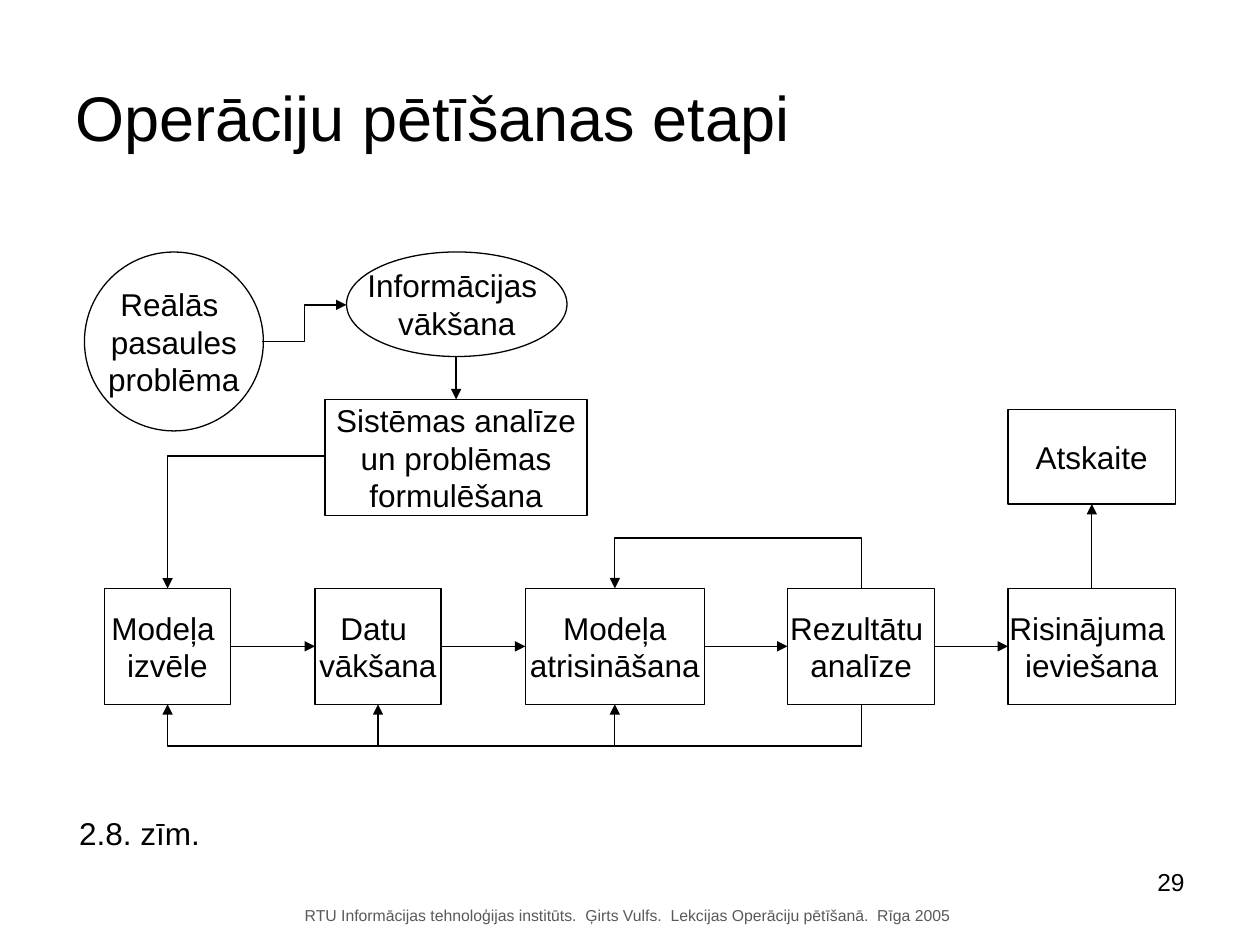
from pptx import Presentation
from pptx.dml.color import RGBColor
from pptx.enum.shapes import MSO_CONNECTOR, MSO_SHAPE
from pptx.enum.text import MSO_ANCHOR, PP_ALIGN
from pptx.oxml.ns import qn
from pptx.util import Inches, Pt
from lxml import etree

RECTANGLE, ELLIPSE = MSO_SHAPE.RECTANGLE, MSO_SHAPE.OVAL
STRAIGHT, ELBOW = MSO_CONNECTOR.STRAIGHT, MSO_CONNECTOR.ELBOW
LEFT, CENTER, RIGHT = PP_ALIGN.LEFT, PP_ALIGN.CENTER, PP_ALIGN.RIGHT
TOP, MIDDLE = MSO_ANCHOR.TOP, MSO_ANCHOR.MIDDLE
SIDE_TOP, SIDE_LEFT, SIDE_BOTTOM, SIDE_RIGHT = range(4)


def color(value):
    return RGBColor.from_string(value)


def write(shape, text, size=18, ink="000000", font="Arial", align=LEFT, anchor=TOP, wrap=False):
    frame = shape.text_frame
    frame.word_wrap = wrap
    frame.vertical_anchor = anchor
    for index, line in enumerate(text.split("\n")):
        para = frame.add_paragraph() if index else frame.paragraphs[0]
        para.alignment = align
        span = para.add_run()
        span.text = line
        span.font.size = Pt(size)
        span.font.name = font
        span.font.color.rgb = color(ink)


class Diagram:
    ink = "000000"
    paper = "FFFFFF"
    weight = 0.75

    def __init__(self, page):
        self.page = page

    def outline(self, line):
        line.color.rgb = color(self.ink)
        line.width = Pt(self.weight)

    def arrowhead(self, line):
        self.outline(line)
        etree.SubElement(line._get_or_add_ln(), qn("a:tailEnd"), type="triangle")

    def label(self, text, left, top, width, height, **style):
        box = self.page.shapes.add_textbox(*map(Inches, (left, top, width, height)))
        write(box, text, **style)

    def step(self, text, left, top, width, height, kind=RECTANGLE):
        box = self.page.shapes.add_shape(kind, *map(Inches, (left, top, width, height)))
        box.shadow.inherit = False
        box.fill.solid()
        box.fill.fore_color.rgb = color(self.paper)
        self.outline(box.line)
        write(box, text, align=CENTER, anchor=MIDDLE)
        return box

    def arrow(self, start=(0, 0), end=(0, 0), kind=STRAIGHT, source=None, target=None):
        arrow = self.page.shapes.add_connector(kind, *map(Inches, (*start, *end)))
        if source:
            arrow.begin_connect(*source)
        if target:
            arrow.end_connect(*target)
        self.arrowhead(arrow.line)
        etree.SubElement(arrow._element.spPr, qn("a:effectLst"))

    def path_arrow(self, *points):
        corners = [(Inches(x), Inches(y)) for x, y in points]
        builder = self.page.shapes.build_freeform(*corners[0])
        builder.add_line_segments(corners[1:], close=False)
        arrow = builder.convert_to_shape()
        arrow.shadow.inherit = False
        arrow.fill.background()
        self.arrowhead(arrow.line)


def main():
    deck = Presentation()
    deck.slide_width, deck.slide_height = Inches(10), Inches(7.5)
    page = deck.slides.add_slide(deck.slide_layouts[6])
    diagram = Diagram(page)

    diagram.label("RTU Informācijas tehnoloģijas institūts.  Ģirts Vulfs.  "
                  "Lekcijas Operāciju pētīšanā.  Rīga 2005",
                  2.32, 7.14, 5.33, 0.25, size=9, ink="595959")
    diagram.label("Operāciju pētīšanas etapi", 0.5, 0.3, 9, 1.25,
                  size=36, anchor=MIDDLE, wrap=True)

    diagram.step("Reālās \npasaules\nproblēma", 0.67, 2, 1.42, 1.42, ELLIPSE)
    diagram.step("Informācijas \nvākšana", 2.75, 2, 1.75, 0.83, ELLIPSE)
    analysis = diagram.step("Sistēmas analīze\nun problēmas\nformulēšana", 2.58, 3.17, 2.08, 0.92)
    report = diagram.step("Atskaite", 8, 3.25, 1.33, 0.75)

    row_top, row_height = 4.67, 0.92
    row_bottom = row_top + row_height
    row = [
        ("Modeļa \nizvēle", 0.83, 1),
        ("Datu \nvākšana", 2.5, 1),
        ("Modeļa\natrisināšana", 4.17, 1.42),
        ("Rezultātu \nanalīze", 6.25, 1.17),
        ("Risinājuma \nieviešana", 8, 1.33),
    ]
    steps = [diagram.step(text, left, row_top, width, row_height) for text, left, width in row]
    choice, data, solution, results, _ = [left + width / 2 for _, left, width in row]

    for source, target in zip(steps, steps[1:]):
        diagram.arrow(source=(source, SIDE_RIGHT), target=(target, SIDE_LEFT))
    diagram.arrow(source=(steps[-1], SIDE_TOP), target=(report, SIDE_BOTTOM))
    diagram.arrow(start=(3.62, 2.83), target=(analysis, SIDE_TOP))
    diagram.arrow((2.08, 2.71), (2.75, 2.42), ELBOW)
    diagram.path_arrow((2.58, 3.62), (choice, 3.62), (choice, row_top))

    loops = [(solution, row_top, 4.27)]
    loops += [(center, row_bottom, 5.92) for center in (solution, data, choice)]
    for center, edge, level in loops:
        diagram.path_arrow((results, edge), (results, level), (center, level), (center, edge))

    diagram.label("2.8. zīm.", 0.53, 6.41, 1.16, 0.4)
    diagram.label("29", 8.7, 6.83, 0.8, 0.52, size=14, align=RIGHT, wrap=True)

    deck.save("out.pptx")


if __name__ == "__main__":
    main()
